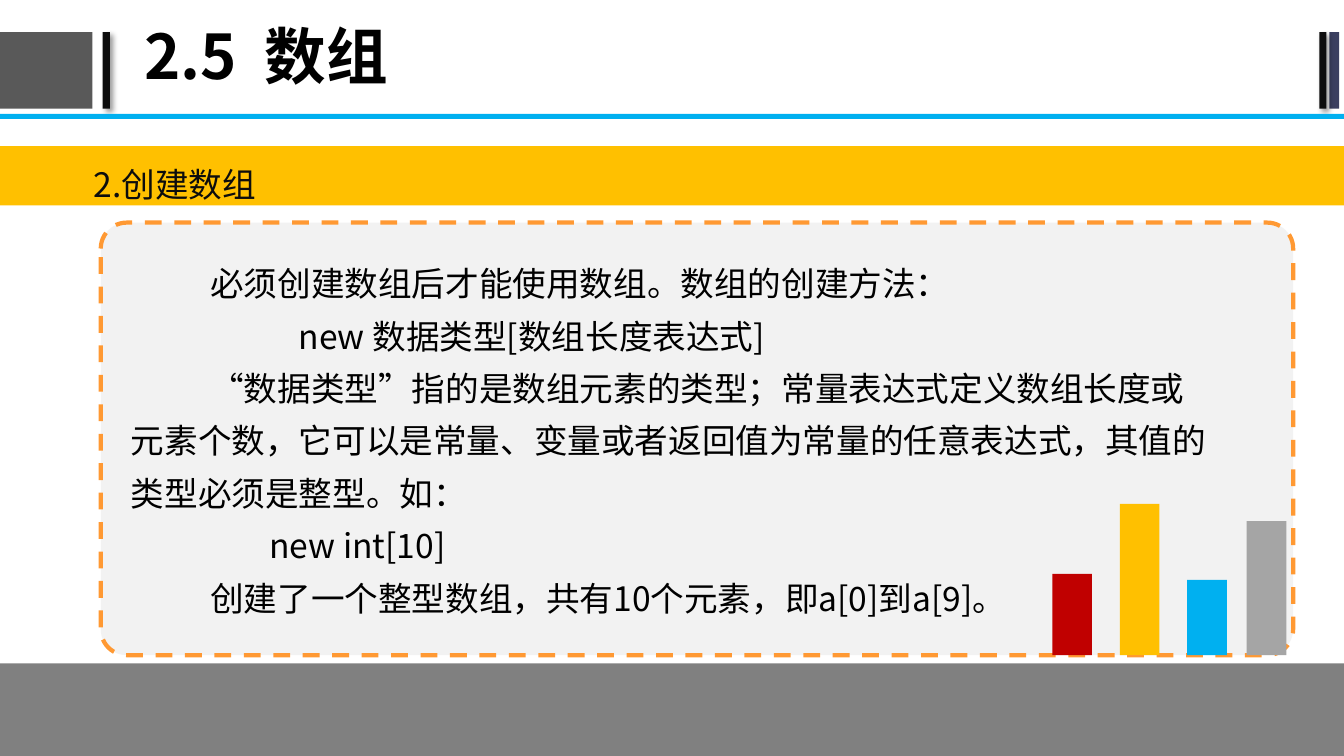
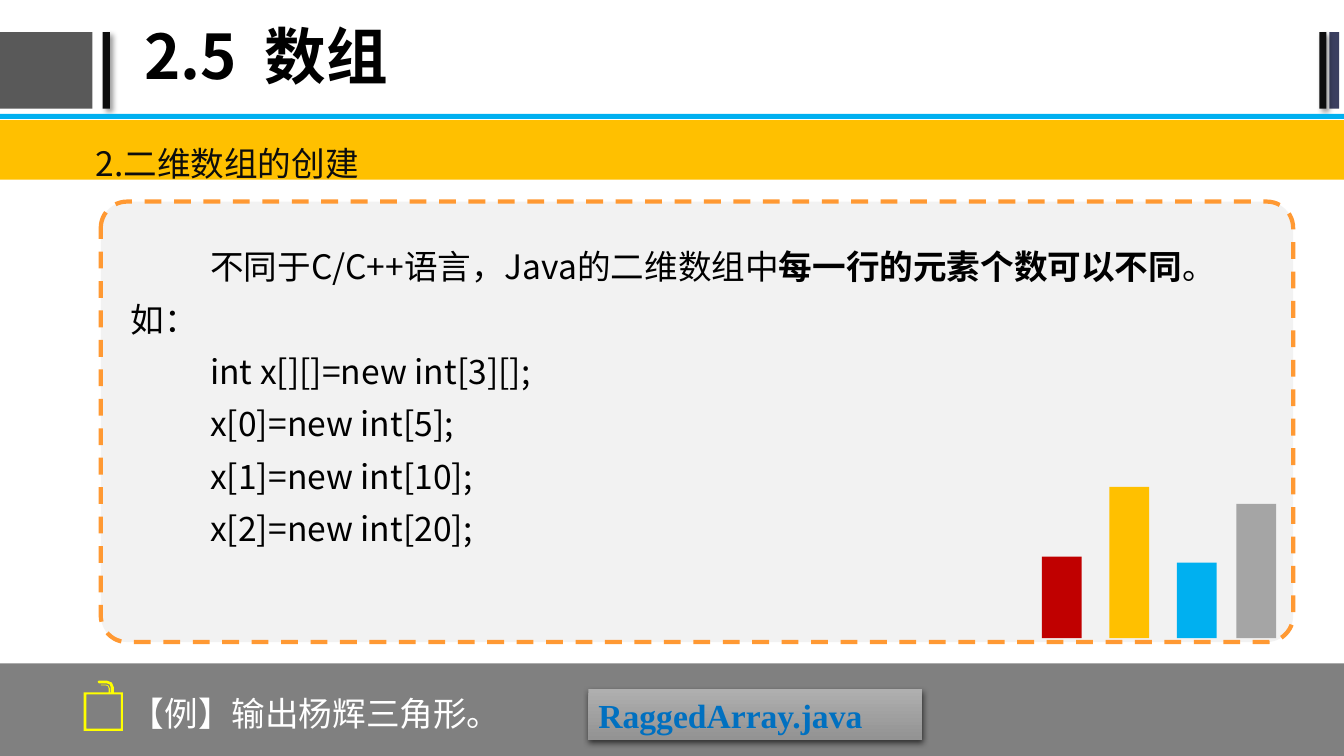
from lxml import etree
from pptx import Presentation
from pptx.dml.color import RGBColor
from pptx.enum import dml, shapes, text
from pptx.oxml.ns import qn
from pptx.util import Cm, Pt

COLORS = {
    "black": "000000", "ink": "0D0D0D", "white": "FFFFFF", "block": "595959",
    "navy": "3B3F60", "sky": "00B0F0", "footer": "808080", "panel": "F2F2F2",
    "dash": "FF9933", "amber": "FFC000", "silver": "A5A5A5", "red": "C00000",
    "yellow": "FFFF00", "file": "0070C0", "light": "AFAFAF", "dark": "939393",
}
SANS, SERIF = "Noto Sans CJK SC", "Times New Roman"
WIDTH, HEIGHT = 33.87, 19.05
TITLE = "2.5  数组"
RECT = shapes.MSO_SHAPE.RECTANGLE
INSETS = (0.33, 0.18)

# Shadow: opacity %, blur pt, distance pt, direction in degrees
BAR_SHADOW = (40, 4, 3, 45)
BUTTON_SHADOW = (63, 4.5, 1.5, 90)

# Shared rectangles: box in cm, colour, shadow
FRAME = [
    ((0, 0.81, 2.33, 1.93), "block", None),
    ((2.59, 0.81, 0.18, 1.93), "ink", BAR_SHADOW),
    ((33.5, 0.81, 0.25, 1.93), "navy", None),
    ((33.25, 0.81, 0.18, 1.93), "ink", BAR_SHADOW),
    ((0, 2.87, WIDTH, 0.13), "sky", None),
    ((0, 16.72, WIDTH, HEIGHT - 16.72), "footer", None),
]

# Decorative bars: offset from the group's left edge, height, colour
BAR_WIDTH = 1
BARS = [(0, 2.05, "red"), (1.7, 3.81, "amber"), (3.4, 1.9, "sky"), (4.9, 3.38, "silver")]

# Body paragraphs: first-line indent in cm, then (text, bold) runs
SLIDES = [
    {
        "heading": "2.创建数组",
        "heading_at": (2.03, 3.76),
        "band_top": 3.68,
        "panel": (2.54, 5.61, 30.05, 10.9),
        "body_box": (2.97, 6.15, 27.99, 8.61),
        "bars_at": (26.52, 16.51),
        "body": [
            (2, [("必须创建数组后才能使用数组。数组的创建方法：", False)]),
            (4.23, [("new 数据类型[数组长度表达式]", False)]),
            (2, [("“数据类型”指的是数组元素的类型；常量表达式定义数组长度或元素个数，"
                  "它可以是常量、变量或者返回值为常量的任意表达式，"
                  "其值的类型必须是整型。如：", False)]),
            (3.49, [("new int[10]", False)]),
            (2, [("创建了一个整型数组，共有10个元素，即a[0]到a[9]。", False)]),
        ],
    },
    {
        "heading": "2.二维数组的创建",
        "heading_at": (2.08, 3.23),
        "band_top": 3.03,
        "panel": (2.54, 5.08, 30.05, 11.1),
        "body_box": (2.97, 5.72, 28.7, 8.61),
        "bars_at": (26.26, 16.08),
        "body": [
            (2, [("不同于C/C++语言，Java的二维数组中", False),
                 ("每一行的元素个数可以不同", True), ("。如：", False)]),
            (2, [("int x[][]=new int[3][];", False)]),
            (2, [("x[0]=new int[5];", False)]),
            (2, [("x[1]=new int[10];", False)]),
            (2, [("x[2]=new int[20];", False)]),
        ],
        "example": "【例】输出杨辉三角形。",
        "file": "RaggedArray.java",
    },
]

# Case icon outlines in hundredths of a cm: outer box, inner box, two handle strokes
ICON = [
    [(211, 1745), (310, 1745), (310, 1842), (211, 1842)],
    [(218, 1750), (218, 1836), (305, 1836), (305, 1750)],
    [(287, 1745), (287, 1732), (282, 1720), (269, 1715), (249, 1715), (246, 1718),
     (249, 1722), (269, 1722), (277, 1725), (279, 1732), (279, 1745)],
    [(277, 1745), (277, 1735), (274, 1728), (267, 1725), (254, 1725), (254, 1727),
     (267, 1727), (272, 1729), (274, 1735), (274, 1745)],
]


def rgb(name):
    return RGBColor.from_string(COLORS[name])


def paint(sp, color):
    sp.shadow.inherit = False
    sp.fill.solid()
    sp.fill.fore_color.rgb = rgb(color)
    sp.line.fill.background()


def add_shadow(sp, opacity, blur, distance, angle):
    effects = sp._element.spPr.find(qn("a:effectLst"))
    shadow = etree.SubElement(effects, qn("a:outerShdw"), blurRad=str(Pt(blur)),
                              dist=str(Pt(distance)), dir=str(angle * 60000),
                              algn="ctr", rotWithShape="0")
    color = etree.SubElement(shadow, qn("a:srgbClr"), val=COLORS["black"])
    etree.SubElement(color, qn("a:alpha"), val=str(opacity * 1000))


def add_block(parent, box, color, kind=RECT):
    sp = parent.add_shape(kind, *map(Cm, box))
    paint(sp, color)
    return sp


def write(sp, paragraphs, color, size=24, font=SANS, bold=False, spacing=1.0,
          insets=INSETS, anchor=text.MSO_ANCHOR.TOP):
    """Fill a shape with (indent, runs) paragraphs."""
    tf = sp.text_frame
    side, edge = map(Cm, insets)
    frame = {"word_wrap": True, "vertical_anchor": anchor, "margin_left": side,
             "margin_right": side, "margin_top": edge, "margin_bottom": edge}
    for name, value in frame.items():
        setattr(tf, name, value)
    for i, (indent, runs) in enumerate(paragraphs):
        p = tf.paragraphs[0] if i == 0 else tf.add_paragraph()
        p.alignment = text.PP_ALIGN.LEFT
        p.line_spacing = spacing
        p._p.get_or_add_pPr().set("indent", str(Cm(indent)))
        for words, strong in runs:
            r = p.add_run()
            r.text = words
            style = {"size": Pt(size), "name": font, "bold": bold or strong}
            for name, value in style.items():
                setattr(r.font, name, value)
            r.font.color.rgb = rgb(color)
            etree.SubElement(r._r.get_or_add_rPr(), qn("a:ea"), typeface=font)


def add_text(s, box, words, color, **style):
    write(s.shapes.add_textbox(*map(Cm, box)), [(0, [(words, False)])], color, **style)


def add_frame(s):
    for box, color, shadow in FRAME:
        sp = add_block(s.shapes, box, color)
        if shadow:
            add_shadow(sp, *shadow)
    add_text(s, (3.38, 0, 28.58, 3), TITLE, "black", size=44, bold=True, spacing=0.9,
             insets=(0.25, 0.13), anchor=text.MSO_ANCHOR.MIDDLE)


def add_content(s, data):
    panel = add_block(s.shapes, data["panel"], "panel", shapes.MSO_SHAPE.ROUNDED_RECTANGLE)
    panel.adjustments[0] = 0.06
    panel.line.color.rgb = rgb("dash")
    panel.line.width = Pt(3)
    panel.line.dash_style = dml.MSO_LINE.DASH
    body = s.shapes.add_textbox(*map(Cm, data["body_box"]))
    write(body, data["body"], "black", spacing=1.3)
    add_block(s.shapes, (0, data["band_top"], WIDTH, 1.5), "amber")
    add_text(s, (*data["heading_at"], 25.88, 1.47), data["heading"], "ink", spacing=1.2)

    left, bottom = data["bars_at"]
    group = s.shapes.add_group_shape()
    for offset, height, color in BARS:
        add_block(group.shapes, (left + offset, bottom - height, BAR_WIDTH, height), color)


def add_icon(s):
    builder = s.shapes.build_freeform(*ICON[0][0], scale=Cm(0.01))
    for i, outline in enumerate(ICON):
        if i:
            builder.move_to(*outline[0])
        builder.add_line_segments(outline[1:], close=True)
    paint(builder.convert_to_shape(), "yellow")


def add_example(s, data):
    button = add_block(s.shapes, (14.83, 17.37, 8.41, 1.27), "silver")
    button.fill.gradient()
    button.fill.gradient_angle = 270
    for stop, color in zip(button.fill.gradient_stops, ("light", "dark")):
        stop.color.rgb = rgb(color)
    add_shadow(button, *BUTTON_SHADOW)
    write(button, [(0, [(data["file"], False)])], "file", font=SERIF, bold=True,
          insets=(0.25, 0.13))
    add_icon(s)
    add_text(s, (2.97, 17.09, 11.5, 1.6), data["example"], "white", spacing=1.2)


def main():
    prs = Presentation()
    prs.slide_width, prs.slide_height = Cm(WIDTH), Cm(HEIGHT)
    for data in SLIDES:
        s = prs.slides.add_slide(prs.slide_layouts[6])
        add_frame(s)
        add_content(s, data)
        if "example" in data:
            add_example(s, data)
    prs.save("out.pptx")


if __name__ == "__main__":
    main()
